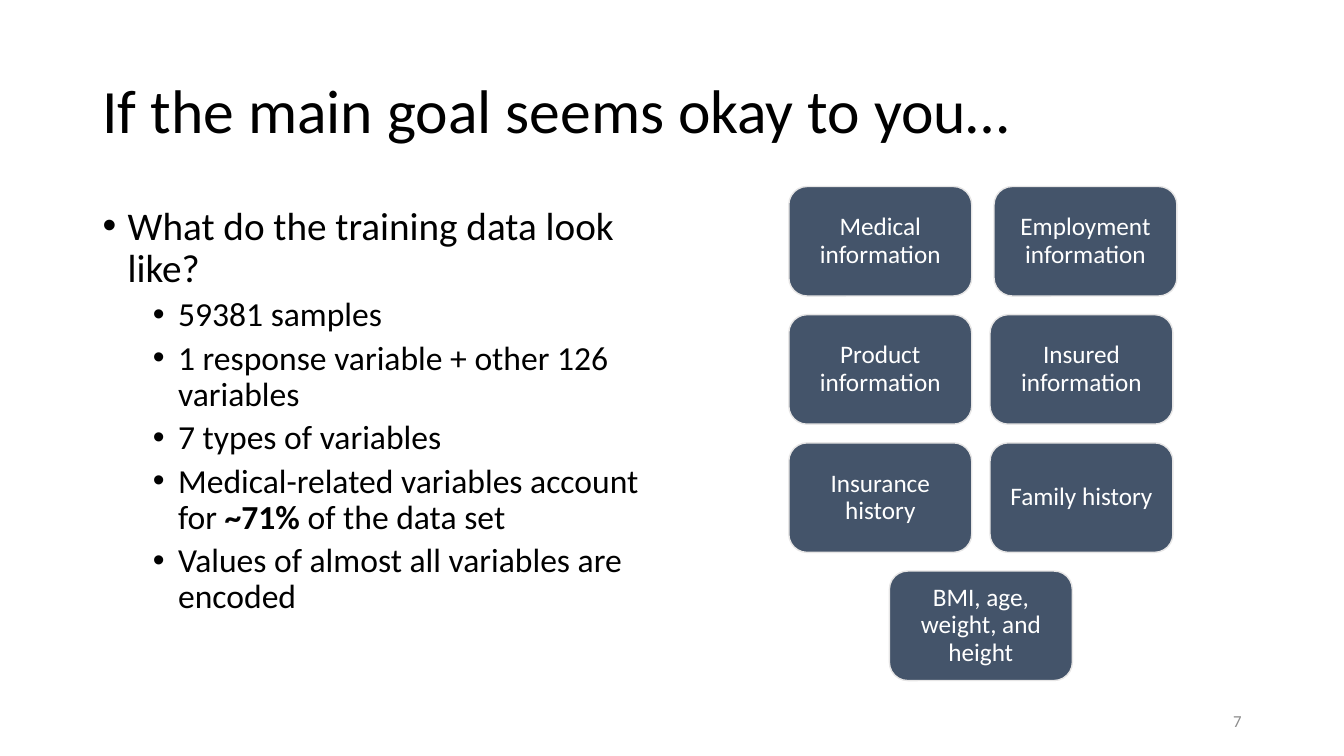
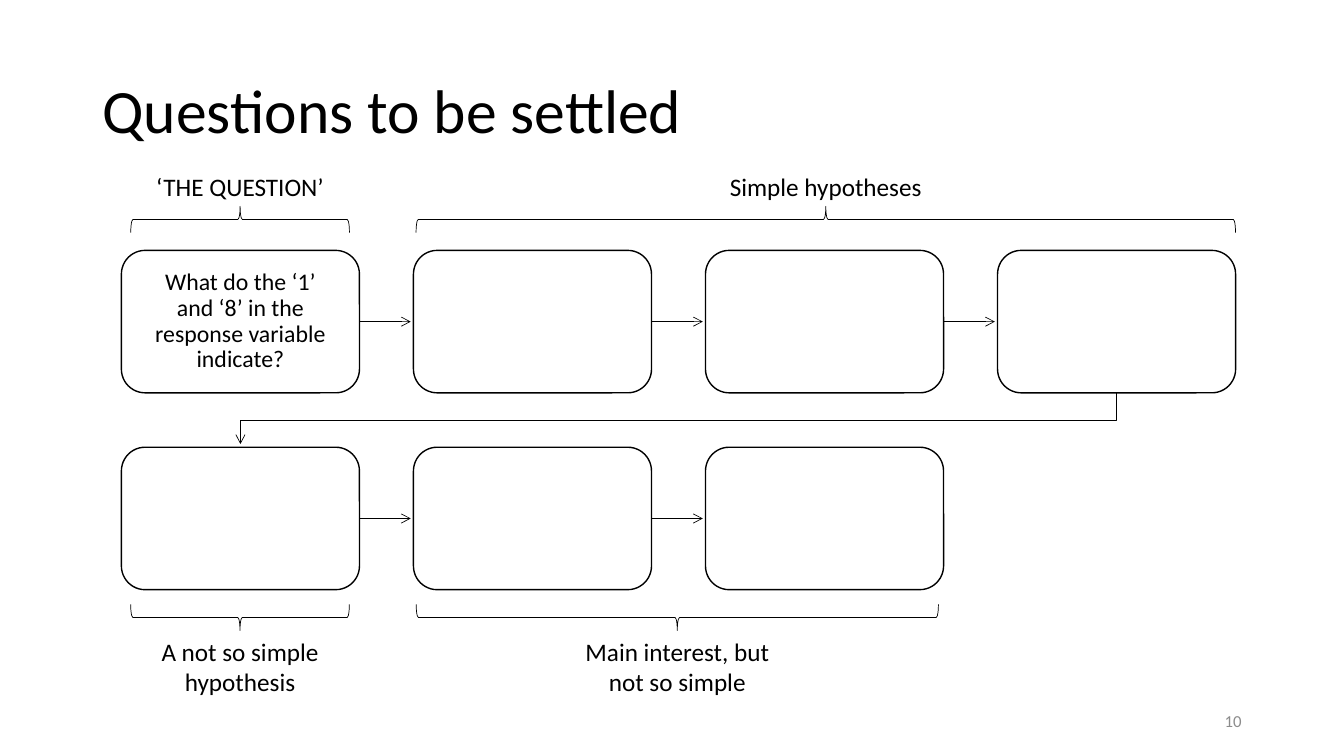
import pptx
import pptx.util
import pptx.dml.color
import pptx.enum.shapes
import pptx.enum.text
import pptx.oxml.ns
import lxml.etree

Cm, Pt = pptx.util.Cm, pptx.util.Pt
RGBColor = pptx.dml.color.RGBColor
Align = pptx.enum.text.PP_ALIGN
Anchor = pptx.enum.text.MSO_ANCHOR
Preset = pptx.enum.shapes.MSO_SHAPE
qn = pptx.oxml.ns.qn

BLACK = RGBColor(0x00, 0x00, 0x00)
WHITE = RGBColor(0xFF, 0xFF, 0xFF)
SLATE = RGBColor(0x44, 0x54, 0x6A)
PALE = RGBColor(0xE7, 0xE6, 0xE6)
GREY = RGBColor(0x8C, 0x8C, 0x8C)
FONT = "Calibri"


def write(frame, text, size=18, color=BLACK, align=Align.CENTER, anchor=Anchor.TOP,
          spacing=0.9, before=0, inset=None, level=0, bullet_at=None):
    """Add one paragraph; text between ** marks is bold, bullet_at is the text indent in cm."""
    frame.word_wrap = True
    frame.auto_size = pptx.enum.text.MSO_AUTO_SIZE.NONE
    frame.vertical_anchor = anchor
    if inset is not None:
        frame.margin_left = frame.margin_right = Cm(inset)
        frame.margin_top = frame.margin_bottom = Cm(inset)
    paragraph = frame.paragraphs[0] if not frame.text else frame.add_paragraph()
    paragraph.alignment = align
    paragraph.level = level
    paragraph.line_spacing = spacing
    paragraph.space_before = Pt(before)
    if bullet_at is not None:
        properties = paragraph._p.get_or_add_pPr()
        properties.set("marL", str(Cm(bullet_at)))
        properties.set("indent", str(-Cm(0.635)))
        lxml.etree.SubElement(properties, qn("a:buFont"), typeface="Arial")
        lxml.etree.SubElement(properties, qn("a:buChar"), char="•")
    for part, words in enumerate(text.split("**")):
        run = paragraph.add_run()
        run.text = words
        run.font.name = FONT
        run.font.size = Pt(size)
        run.font.bold = part % 2 == 1
        run.font.color.rgb = color


def finish_arrow(line_shape):
    line_shape.line.color.rgb = BLACK
    line_shape.line.width = Pt(0.5)
    properties = line_shape._element.spPr
    lxml.etree.SubElement(properties.find(qn("a:ln")), qn("a:tailEnd"), type="arrow")
    lxml.etree.SubElement(properties, qn("a:effectLst"))


deck = pptx.Presentation()
deck.slide_width, deck.slide_height = Cm(33.87), Cm(19.05)

# Titles and page numbers
TITLE_AND_CONTENT, TITLE_ONLY = 1, 5
slides = []
for layout, heading, page in [
    (TITLE_AND_CONTENT, "If the main goal seems okay to you…", "7"),
    (TITLE_ONLY, "Questions to be settled", "10"),
]:
    slide = deck.slides.add_slide(deck.slide_layouts[layout])
    title = slide.shapes.title
    title.left, title.top, title.width, title.height = Cm(2.33), Cm(1.01), Cm(29.21), Cm(3.68)
    write(title.text_frame, heading, size=44, align=Align.LEFT, anchor=Anchor.MIDDLE)
    number = slide.shapes.add_textbox(Cm(23.92), Cm(17.65), Cm(7.62), Cm(1.01))
    write(number.text_frame, page, size=12, color=GREY, align=Align.RIGHT,
          anchor=Anchor.MIDDLE, spacing=1)
    slides.append(slide)
data_slide, questions_slide = slides

# Training data: bullets
facts = data_slide.placeholders[1]
facts.left, facts.top, facts.width, facts.height = Cm(2.33), Cm(5.07), Cm(14.76), Cm(12.09)
write(facts.text_frame, "What do the training data look like?", size=28,
      align=Align.LEFT, before=10, bullet_at=0.635)
for fact in [
    "59381 samples",
    "1 response variable + other 126 variables",
    "7 types of variables",
    "Medical-related variables account for **~71% **of the data set",
    "Values of almost all variables are encoded",
]:
    write(facts.text_frame, fact, size=24, align=Align.LEFT, before=5, level=1, bullet_at=1.905)

# Training data: the seven variable types, by column and row
for column, row, variable_type in [
    (0, 0, "Medical information"),
    (1.02, 0, "Employment information"),
    (0, 1, "Product information"),
    (1, 1, "Insured information"),
    (0, 2, "Insurance history"),
    (1, 2, "Family history"),
    (0.5, 3, "BMI, age, weight, and height"),
]:
    card = data_slide.shapes.add_shape(
        Preset.ROUNDED_RECTANGLE,
        Cm(19.88 + 5.07 * column), Cm(4.7 + 3.23 * row), Cm(4.61), Cm(2.76))
    card.shadow.inherit = False
    card.fill.solid()
    card.fill.fore_color.rgb = SLATE
    card.line.color.rgb = PALE
    card.line.width = Pt(1)
    write(card.text_frame, variable_type, color=WHITE, anchor=Anchor.MIDDLE, inset=0.32)

# Questions: seven steps, four to a row
STEP_LEFT, STEP_TOP, STEP_WIDTH, STEP_HEIGHT = 3.06, 6.31, 6, 3.59
COLUMN_PITCH, ROW_PITCH = 7.36, 4.96
ARROW_LENGTH = 1.29
STEPS, PER_ROW = 7, 4
for step in range(STEPS):
    row, column = divmod(step, PER_ROW)
    left, top = STEP_LEFT + COLUMN_PITCH * column, STEP_TOP + ROW_PITCH * row
    question = questions_slide.shapes.add_shape(
        Preset.ROUNDED_RECTANGLE, Cm(left), Cm(top), Cm(STEP_WIDTH), Cm(STEP_HEIGHT))
    question.shadow.inherit = False
    question.fill.solid()
    question.fill.fore_color.rgb = WHITE
    question.line.color.rgb = BLACK
    question.line.width = Pt(1)
    if step == 0:
        write(question.text_frame, "What do the ‘1’ and ‘8’ in the response variable indicate?",
              size=17, anchor=Anchor.MIDDLE, inset=0.51)
    if column < PER_ROW - 1 and step < STEPS - 1:
        right, middle = left + STEP_WIDTH, top + STEP_HEIGHT / 2
        next_arrow = questions_slide.shapes.add_connector(
            pptx.enum.shapes.MSO_CONNECTOR.STRAIGHT,
            Cm(right), Cm(middle), Cm(right + ARROW_LENGTH), Cm(middle))
        finish_arrow(next_arrow)

# Questions: turn from the first row to the second
first_center = STEP_LEFT + STEP_WIDTH / 2
last_center = first_center + COLUMN_PITCH * (PER_ROW - 1)
row_bottom = STEP_TOP + STEP_HEIGHT
turn = row_bottom + (ROW_PITCH - STEP_HEIGHT) / 2
outline = questions_slide.shapes.build_freeform(Cm(last_center), Cm(row_bottom))
outline.add_line_segments(
    [(Cm(last_center), Cm(turn)), (Cm(first_center), Cm(turn)),
     (Cm(first_center), Cm(row_bottom + ARROW_LENGTH))], close=False)
row_turn = outline.convert_to_shape()
row_turn.fill.background()
finish_arrow(row_turn)

# Questions: braces and their labels
BRACE_DEPTH, LABEL_WIDTH = 0.66, 6.02
POINT_UP, POINT_DOWN = 90, 270
for center, middle, span, rotation, label_top, label_height, label in [
    (6.05, 5.53, 5.51, POINT_UP, 4.19, 1.02, "‘THE QUESTION’"),
    (20.81, 5.53, 20.65, POINT_UP, 4.19, 1.02, "Simple hypotheses"),
    (6.05, 15.56, 5.51, POINT_DOWN, 15.9, 1.8, "A not so simple hypothesis"),
    (17.07, 15.56, 13.16, POINT_DOWN, 15.9, 1.8, "Main interest, but not so simple"),
]:
    brace = questions_slide.shapes.add_shape(
        Preset.LEFT_BRACE, Cm(center - BRACE_DEPTH / 2), Cm(middle - span / 2),
        Cm(BRACE_DEPTH), Cm(span))
    brace.rotation = rotation
    brace.shadow.inherit = False
    brace.fill.background()
    brace.line.color.rgb = BLACK
    brace.line.width = Pt(0.5)
    caption = questions_slide.shapes.add_textbox(
        Cm(center - LABEL_WIDTH / 2), Cm(label_top), Cm(LABEL_WIDTH), Cm(label_height))
    write(caption.text_frame, label, spacing=1)

deck.save("out.pptx")
